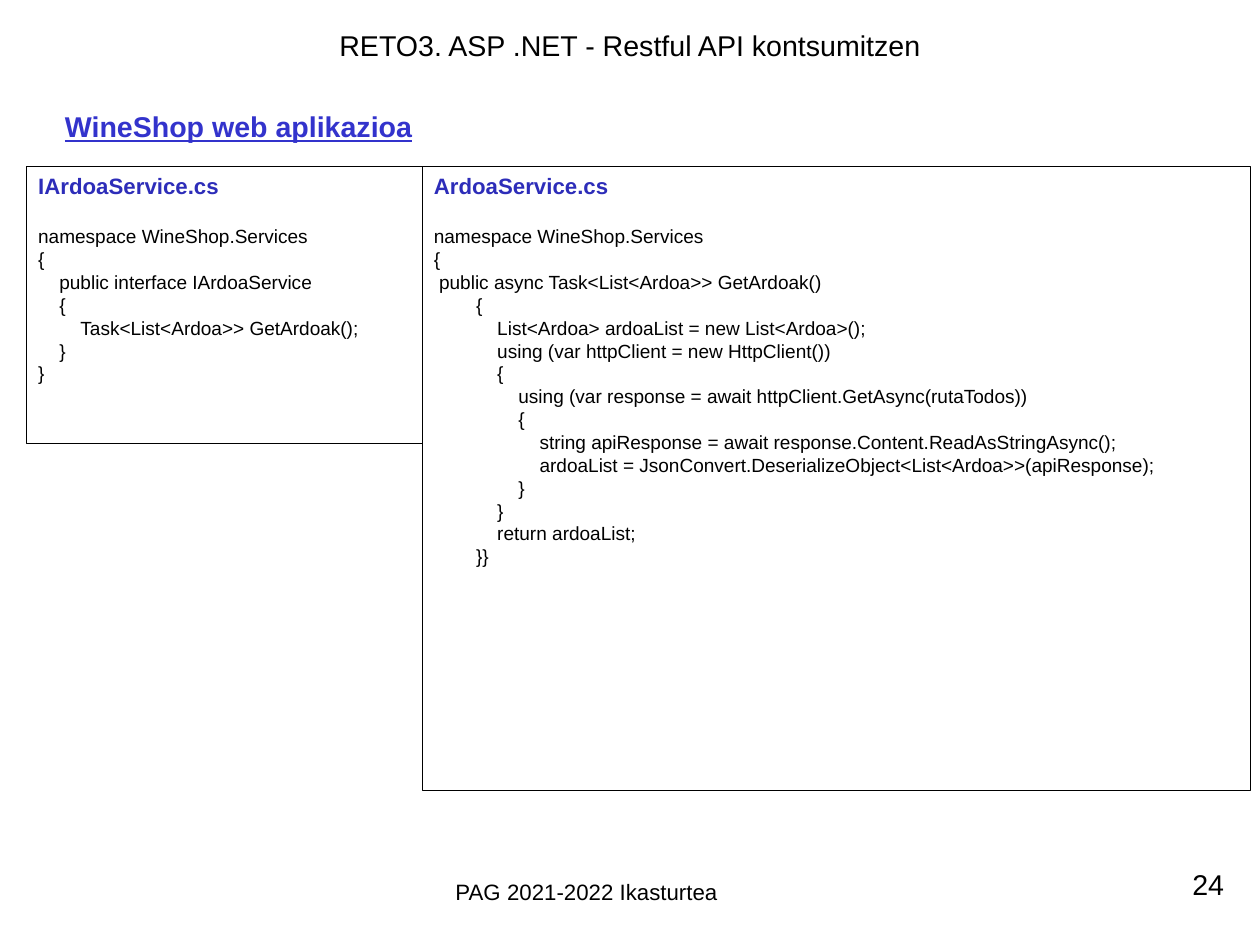
from pptx import Presentation
from pptx.dml.color import RGBColor
from pptx.enum.shapes import MSO_SHAPE
from pptx.enum.text import MSO_ANCHOR, PP_ALIGN
from pptx.util import Cm, Inches, Pt

RECTANGLE = MSO_SHAPE.RECTANGLE
TOP = MSO_ANCHOR.TOP
LEFT, CENTER, RIGHT = PP_ALIGN.LEFT, PP_ALIGN.CENTER, PP_ALIGN.RIGHT

COLORS = {"text": "000000", "heading": "3333CC", "file": "2D2DB9"}
FONT = "Arial"
TAB = Inches(0.185)

# Each line of code is (indent depth in tabs, text).
INTERFACE_CODE = [
    (0, "namespace WineShop.Services"),
    (0, "{"),
    (1, "public interface IArdoaService"),
    (1, "{"),
    (2, "Task<List<Ardoa>> GetArdoak();"),
    (1, "}"),
    (0, "}"),
]
SERVICE_CODE = [
    (0, "namespace WineShop.Services"),
    (0, "{"),
    (0.25, "public async Task<List<Ardoa>> GetArdoak()"),
    (2, "{"),
    (3, "List<Ardoa> ardoaList = new List<Ardoa>();"),
    (3, "using (var httpClient = new HttpClient())"),
    (3, "{"),
    (4, "using (var response = await httpClient.GetAsync(rutaTodos))"),
    (4, "{"),
    (5, "string apiResponse = await response.Content.ReadAsStringAsync();"),
    (5, "ardoaList = JsonConvert.DeserializeObject<List<Ardoa>>(apiResponse);"),
    (4, "}"),
    (3, "}"),
    (3, "return ardoaList;"),
    (2, "}}"),
]


def write(paragraph, text, size=12, color="text", bold=False, underline=False,
          align=LEFT, depth=0, space_after=0):
    paragraph.alignment = align
    paragraph.space_after = Pt(space_after)
    properties = paragraph._p.get_or_add_pPr()
    properties.set("marL", str(int(depth * TAB)))
    properties.set("indent", "0")
    run = paragraph.add_run()
    run.text = text
    font = run.font
    font.name, font.size = FONT, Pt(size)
    font.bold, font.underline = bold, underline
    font.color.rgb = RGBColor.from_string(COLORS[color])


class CodeSlide:
    """One slide whose elements are placed in percent of its width and height."""

    def __init__(self, presentation):
        self.width = presentation.slide_width
        self.height = presentation.slide_height
        self.shapes = presentation.slides.add_slide(presentation.slide_layouts[6]).shapes

    def place(self, left, top, width, height):
        return (int(left * self.width / 100), int(top * self.height / 100),
                int(width * self.width / 100), int(height * self.height / 100))

    def frame(self, shape, inset_x=0.1, inset_y=0.05):
        frame = shape.text_frame
        frame.word_wrap = True
        frame.vertical_anchor = TOP
        frame.margin_left = frame.margin_right = Inches(inset_x)
        frame.margin_top = frame.margin_bottom = Inches(inset_y)
        return frame

    def label(self, text, area, inset_x=0.1, inset_y=0.05, **style):
        box = self.shapes.add_textbox(*self.place(*area))
        write(self.frame(box, inset_x, inset_y).paragraphs[0], text, **style)

    def code_panel(self, file_name, code, area):
        panel = self.shapes.add_shape(RECTANGLE, *self.place(*area))
        panel.shadow.inherit = False
        panel.fill.background()
        panel.line.color.rgb = RGBColor.from_string(COLORS["text"])
        panel.line.width = Pt(0.75)
        frame = self.frame(panel)
        write(frame.paragraphs[0], file_name, size=14, color="file", bold=True,
              space_after=16.5)
        for depth, text in code:
            write(frame.add_paragraph(), text, depth=depth)


def main():
    presentation = Presentation()
    presentation.slide_width, presentation.slide_height = Cm(28), Cm(21)
    slide = CodeSlide(presentation)

    slide.label("RETO3. ASP .NET - Restful API kontsumitzen", (5, 2.35, 90, 7.86),
                size=18, align=CENTER)
    slide.label("WineShop web aplikazioa", (4.26, 10.95, 92.47, 9.19),
                size=18, color="heading", bold=True, underline=True)

    panel_left, panel_top, panel_width = 2.14, 17.6, 31.4
    slide.code_panel("IArdoaService.cs", INTERFACE_CODE,
                     (panel_left, panel_top, panel_width, 29.38))
    slide.code_panel("ArdoaService.cs", SERVICE_CODE,
                     (panel_left + panel_width, panel_top, 65.7, 66.02))

    footer_top, footer_height = 91.7, 6.77
    slide.label("24", (73.92, footer_top, 23.23, footer_height),
                inset_x=0, inset_y=0, size=18, align=RIGHT)
    slide.label("PAG 2021-2022 Ikasturtea", (35.26, footer_top, 31.67, footer_height),
                inset_y=0.1, size=14)

    presentation.save("out.pptx")


if __name__ == "__main__":
    main()
